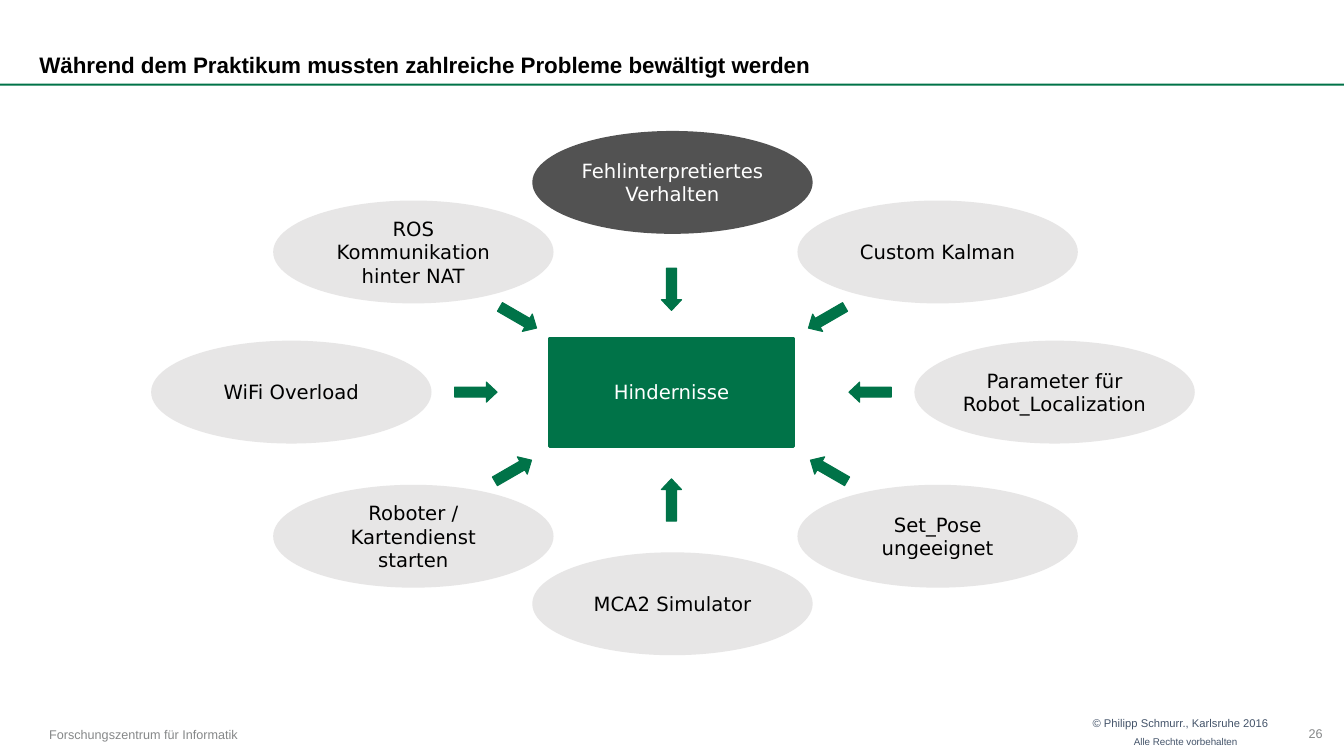
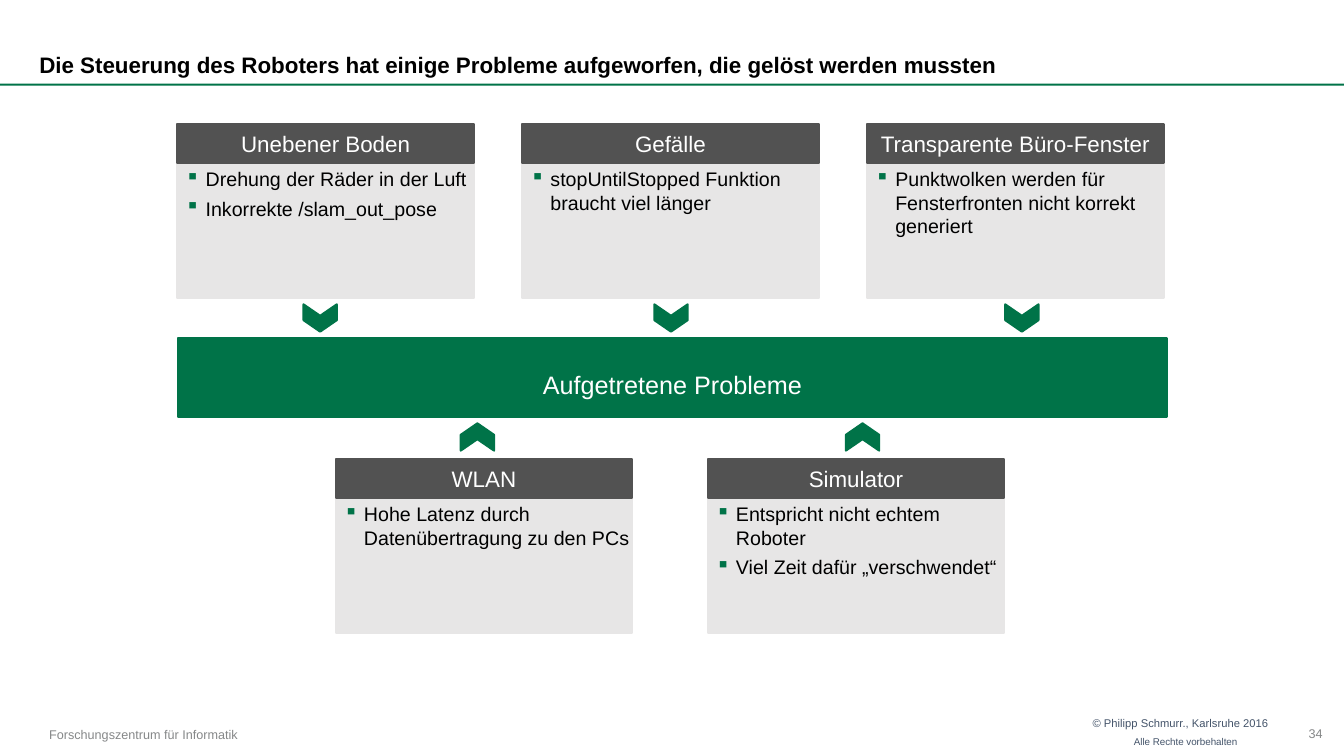
from lxml.etree import SubElement
from pptx import Presentation
from pptx.dml.color import RGBColor
from pptx.enum.shapes import MSO_SHAPE
from pptx.enum.text import MSO_ANCHOR, PP_ALIGN
from pptx.oxml.ns import qn
from pptx.util import Inches, Pt

GREEN, DARK, LIGHT = "007348", "525252", "E7E6E6"
BLACK, WHITE, SLATE, GREY = "000000", "FFFFFF", "44546A", "868889"
TITLES = [
    ("Während dem Praktikum mussten zahlreiche Probleme bewältigt werden", "26"),
    ("Die Steuerung des Roboters hat einige Probleme aufgeworfen, die gelöst werden mussten", "34"),
]


def add_box(page, kind, at, color=None, border=1.5, rotation=0, adjustments=()):
    """Add a preset shape outlined in its fill colour, or a text box if kind is None."""
    place = [Inches(length) for length in at]
    if kind is None:
        return page.shapes.add_textbox(*place)
    box = page.shapes.add_shape(kind, *place)
    box.shadow.inherit = False
    box.rotation = rotation
    for index, value in enumerate(adjustments):
        box.adjustments[index] = value
    box.fill.solid()
    box.fill.fore_color.rgb = RGBColor.from_string(color)
    if border:
        box.line.color.rgb = RGBColor.from_string(color)
        box.line.width = Pt(border)
    else:
        box.line.fill.background()
    return box


def write(box, *lines, size=14, color=BLACK, font="Arial", bold=False,
          align=PP_ALIGN.CENTER, anchor=MSO_ANCHOR.MIDDLE,
          insets=(0.1, 0.05, 0.1, 0.05), before=0, after=0, spacing=None, bullet=None):
    """Fill a box with one formatted paragraph per line."""
    frame = box.text_frame
    frame.word_wrap = True
    frame.vertical_anchor = anchor
    (frame.margin_left, frame.margin_top,
     frame.margin_right, frame.margin_bottom) = [Inches(inset) for inset in insets]
    for index, line in enumerate(lines):
        para = frame.add_paragraph() if index else frame.paragraphs[0]
        para.alignment = align
        para.line_spacing = spacing
        para.space_before, para.space_after = Pt(before), Pt(after)
        if bullet:
            properties = para._p.get_or_add_pPr()
            properties.set("marL", str(Inches(0.28)))
            properties.set("indent", str(Inches(-0.2)))
            bullet_color = SubElement(properties, qn("a:buClr"))
            SubElement(bullet_color, qn("a:srgbClr"), val=GREEN)
            SubElement(properties, qn("a:buChar"), char=bullet)
        span = para.add_run()
        span.text = line
        span.font.name, span.font.size, span.font.bold = font, Pt(size), bold
        span.font.color.rgb = RGBColor.from_string(color)


deck = Presentation()
deck.slide_width, deck.slide_height = Inches(13.33), Inches(7.5)

# Title, rule and footer on every slide
for title, number in TITLES:
    page = deck.slides.add_slide(deck.slide_layouts[6])
    add_box(page, MSO_SHAPE.RECTANGLE, (0, 0.83, 13.33, 0.02), GREEN, border=0)
    write(add_box(page, None, (0, 0, 10.97, 0.83)), title, size=16, bold=True,
          align=PP_ALIGN.LEFT, anchor=MSO_ANCHOR.BOTTOM,
          insets=(0.39, 0.05, 0.1, 0.05), spacing=0.9)
    for text, at in [("Forschungszentrum für Informatik", (0.39, 7.07, 2.3, 0.43)),
                     (number, (12.88, 7.06, 0.45, 0.44))]:
        write(add_box(page, None, at), text, size=9, color=GREY, align=PP_ALIGN.LEFT)
    for text, at, size in [("© Philipp Schmurr., Karlsruhe 2016", (10.5, 7.06, 2.18, 0.25), 8),
                           ("Alle Rechte vorbehalten", (11.02, 7.25, 1.35, 0.25), 7)]:
        write(add_box(page, None, at), text, size=size, color=SLATE, align=PP_ALIGN.RIGHT,
              anchor=MSO_ANCHOR.TOP, before=0.2 * size)

obstacle_page, problem_page = deck.slides

# Obstacles around the centre: text, ellipse left and top, arrow left, top and angle
obstacles = [
    ("Fehlinterpretiertes Verhalten", 5.29, 1.31, 6.45, 2.77, 90),
    ("Custom Kalman", 7.92, 2, 7.99, 3.05, 150),
    ("Parameter für Robot_Localization", 9.08, 3.39, 8.42, 3.79, 180),
    ("Set_Pose ungeeignet", 7.92, 4.82, 8.01, 4.57, 210),
    ("MCA2 Simulator", 5.29, 5.49, 6.45, 4.86, 270),
    ("Roboter / Kartendienst starten", 2.72, 4.82, 4.88, 4.57, 330),
    ("WiFi Overload", 1.51, 3.39, 4.51, 3.79, 0),
    ("ROS Kommunikation hinter NAT", 2.72, 2, 4.93, 3.05, 30),
]
center = add_box(obstacle_page, MSO_SHAPE.RECTANGLE, (5.45, 3.35, 2.42, 1.08), GREEN)
write(center, "Hindernisse", color=WHITE, font="DejaVu Sans")
for index, (text, left, top, arrow_left, arrow_top, angle) in enumerate(obstacles):
    fill, color = (LIGHT, BLACK) if index else (DARK, WHITE)
    ellipse = add_box(obstacle_page, MSO_SHAPE.OVAL, (left, top, 2.76, 1), fill)
    write(ellipse, text, color=color, font="DejaVu Sans", insets=(0, 0.05, 0, 0.05))
    add_box(obstacle_page, MSO_SHAPE.RIGHT_ARROW, (arrow_left, arrow_top, 0.42, 0.2), GREEN,
            border=0.75, rotation=angle, adjustments=(0.5, 0.53))

# Problem cards above and below the band
band = add_box(problem_page, MSO_SHAPE.RECTANGLE, (1.77, 3.35, 9.8, 0.79), GREEN)
write(band, "Aufgetretene Probleme", size=18, color=WHITE, insets=(0.1, 0.18, 0.1, 0.05))

# Each row: left, top and step of the cards, then left, top, step and angle of the chevrons
card_rows = [
    ((1.76, 1.23, 3.42), (3.04, 2.99, 3.48, 90), [
        ("Unebener Boden", ["Drehung der Räder in der Luft", "Inkorrekte /slam_out_pose"]),
        ("Gefälle", ["stopUntilStopped Funktion braucht viel länger"]),
        ("Transparente Büro-Fenster",
         ["Punktwolken werden für Fensterfronten nicht korrekt generiert"]),
    ]),
    ((3.33, 4.55, 3.69), (4.6, 4.17, 3.82, 270), [
        ("WLAN", ["Hohe Latenz durch Datenübertragung zu den PCs"]),
        ("Simulator", ["Entspricht nicht echtem Roboter", "Viel Zeit dafür „verschwendet“"]),
    ]),
]
for (left, top, step), (tip_left, tip_top, tip_step, angle), cards in card_rows:
    for index, (heading, points) in enumerate(cards):
        card_left = left + index * step
        body = add_box(problem_page, MSO_SHAPE.RECTANGLE, (card_left, top + 0.39, 2.94, 1.34), LIGHT)
        write(body, *points, align=PP_ALIGN.LEFT, anchor=MSO_ANCHOR.TOP,
              insets=(0, 0.04, 0, 0.04), before=2, after=2, bullet="▪")
        header = add_box(problem_page, MSO_SHAPE.RECTANGLE, (card_left, top, 2.94, 0.39), DARK)
        write(header, heading, size=16, color=WHITE)
        add_box(problem_page, MSO_SHAPE.CHEVRON, (tip_left + index * tip_step, tip_top, 0.27, 0.33),
                GREEN, rotation=angle, adjustments=(0.42,))

deck.save("out.pptx")
